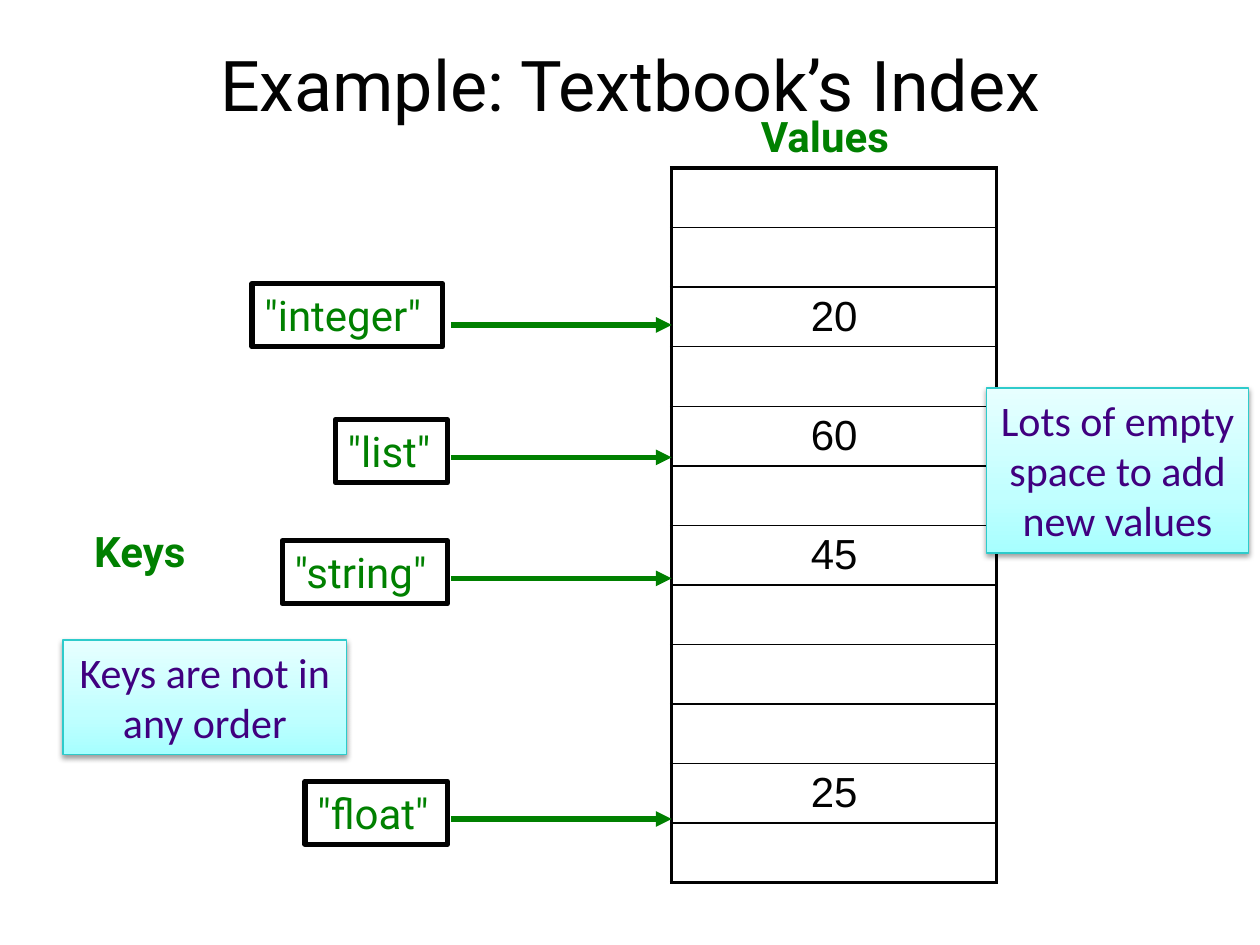
import copy
from dataclasses import dataclass

import lxml.etree
import pptx
import pptx.dml.color
import pptx.enum.shapes
import pptx.enum.text
import pptx.oxml.ns
import pptx.util

Cm = pptx.util.Cm
Pt = pptx.util.Pt
qn = pptx.oxml.ns.qn
ALIGN = pptx.enum.text.PP_ALIGN
ANCHOR = pptx.enum.text.MSO_ANCHOR

BLACK, GREEN, PURPLE, TEAL = "020202", "008000", "400080", "2ECBCB"
NOTE_GRADIENT = [(0, "A7FFFF"), (0.35, "C1FFFF"), (1, "E7FFFF")]
ARROW_START, TABLE_LEFT, TABLE_TOP = 9.09, 13.54, 3.39
TABLE_WIDTH, ROW_HEIGHT, ROW_COUNT = 6.55, 1.2, 12
VALUES = {2: "20", 4: "60", 6: "45", 10: "25"}


@dataclass
class Box:
    """A piece of text with its place in centimetres."""
    text: str
    left: float
    top: float
    width: float
    height: float = 1.27


@dataclass
class Key:
    """A boxed key and the height of its arrow."""
    box: Box
    arrow_top: float


KEYS = [
    Key(Box('"integer"', 5.08, 5.72, 3.84), 6.55),
    Key(Box('"string"', 5.69, 10.9, 3.33), 11.66),
    Key(Box('"float"', 6.15, 15.75, 2.87), 16.51),
    Key(Box('"list"', 6.76, 8.46, 2.26), 9.22),
]
TITLE = Box("Example: Textbook’s Index", 0.64, 0.2, 24.13, 2.97)
HEADINGS = [Box("Keys", 1.65, 10.46, 2.51), Box("Values", 15.09, 2.11, 3.33)]
NOTES = [
    Box("Lots of empty space to add new values", 19.89, 7.82, 5.28, 3.33),
    Box("Keys are not in any order", 1.27, 12.9, 5.72, 2.31),
]


def color(value: str) -> pptx.dml.color.RGBColor:
    """Turn a hex string into a colour."""
    return pptx.dml.color.RGBColor.from_string(value)


def write(frame, text: str, font: str, hex_color: str, size: float = 24,
          align=ALIGN.LEFT, bold: bool = False) -> None:
    """Set the text of a frame and format its run."""
    frame.text = text
    paragraph = frame.paragraphs[0]
    paragraph.alignment = align
    run = paragraph.runs[0]
    run.font.name = font
    run.font.size = Pt(size)
    run.font.bold = bold
    run.font.color.rgb = color(hex_color)


def place(box: Box) -> tuple:
    """Give the position and size of a box as lengths."""
    return Cm(box.left), Cm(box.top), Cm(box.width), Cm(box.height)


def add_label(slide, box: Box, **style):
    """Add a plain text box."""
    shape = slide.shapes.add_textbox(*place(box))
    shape.text_frame.word_wrap = True
    write(shape.text_frame, box.text, "Roboto", **style)
    return shape


def add_rectangle(slide, box: Box, line_color: str, line_width: float):
    """Add an outlined rectangle with text at its top."""
    shape = slide.shapes.add_shape(
        pptx.enum.shapes.MSO_SHAPE.RECTANGLE, *place(box))
    shape.shadow.inherit = False
    shape.fill.background()
    shape.line.color.rgb = color(line_color)
    shape.line.width = Pt(line_width)
    shape.text_frame.word_wrap = True
    shape.text_frame.vertical_anchor = ANCHOR.TOP
    return shape


def add_key(slide, key: Key) -> None:
    """Add a boxed key and its arrow to the table."""
    shape = add_rectangle(slide, key.box, BLACK, 3)
    write(shape.text_frame, key.box.text, "Roboto", GREEN)
    arrow = slide.shapes.add_connector(
        pptx.enum.shapes.MSO_CONNECTOR.STRAIGHT, Cm(ARROW_START),
        Cm(key.arrow_top), Cm(TABLE_LEFT), Cm(key.arrow_top))
    arrow.line.color.rgb = color(GREEN)
    arrow.line.width = Pt(3)
    lxml.etree.SubElement(arrow.line._get_or_add_ln(), qn("a:tailEnd"),
                          type="triangle")
    lxml.etree.SubElement(arrow._element.spPr, qn("a:effectLst"))


def add_note(slide, box: Box) -> None:
    """Add a shaded note with a soft shadow."""
    shape = add_rectangle(slide, box, TEAL, 0.75)
    write(shape.text_frame, box.text, "Calibri", PURPLE, align=ALIGN.CENTER)
    shape.fill.gradient()
    shape.fill.gradient_angle = 90
    properties = shape._element.spPr
    first_stop = properties.find(".//" + qn("a:gs"))
    first_stop.addnext(copy.deepcopy(first_stop))
    for stop, (position, hex_color) in zip(shape.fill.gradient_stops,
                                           NOTE_GRADIENT):
        stop.position = position
        stop.color.rgb = color(hex_color)
    shadow = lxml.etree.SubElement(
        properties.find(qn("a:effectLst")), qn("a:outerShdw"),
        blurRad=str(Pt(3.1)), dist=str(Pt(1.6)), dir="5400000",
        rotWithShape="0")
    shade = lxml.etree.SubElement(shadow, qn("a:srgbClr"), val="000000")
    lxml.etree.SubElement(shade, qn("a:alpha"), val="38000")


def add_border(cell, side: str, width: float) -> None:
    """Draw one border of a cell."""
    line = lxml.etree.SubElement(cell._tc.get_or_add_tcPr(),
                                 qn("a:ln" + side), w=str(Pt(width)))
    fill = lxml.etree.SubElement(line, qn("a:solidFill"))
    lxml.etree.SubElement(fill, qn("a:srgbClr"), val=BLACK)


def add_values_table(slide) -> None:
    """Add the column of slots, some of them filled."""
    table = slide.shapes.add_table(
        ROW_COUNT, 1, Cm(TABLE_LEFT), Cm(TABLE_TOP), Cm(TABLE_WIDTH),
        Cm(ROW_HEIGHT * ROW_COUNT)).table
    table.first_row = table.horz_banding = False
    for index, row in enumerate(table.rows):
        row.height = Cm(ROW_HEIGHT)
        cell = row.cells[0]
        cell.margin_top = cell.margin_bottom = 0
        cell.vertical_anchor = ANCHOR.MIDDLE
        top = 2.25 if index == 0 else 1
        bottom = 2.25 if index == ROW_COUNT - 1 else 1
        for side, width in zip("LRTB", (2.25, 2.25, top, bottom)):
            add_border(cell, side, width)
        cell.fill.background()
        if index in VALUES:
            write(cell.text_frame, VALUES[index], "Arial", BLACK,
                  align=ALIGN.CENTER)


def main() -> None:
    """Build the slide and save it."""
    presentation = pptx.Presentation()
    presentation.slide_width = Cm(25.4)
    presentation.slide_height = Cm(19.05)
    slide = presentation.slides.add_slide(presentation.slide_layouts[6])
    title = add_label(slide, TITLE, hex_color=BLACK, size=40,
                      align=ALIGN.CENTER)
    title.text_frame.vertical_anchor = ANCHOR.MIDDLE
    add_values_table(slide)
    for key in KEYS:
        add_key(slide, key)
    for heading in HEADINGS:
        add_label(slide, heading, hex_color=GREEN, bold=True)
    for note in NOTES:
        add_note(slide, note)
    presentation.save("out.pptx")


main()
